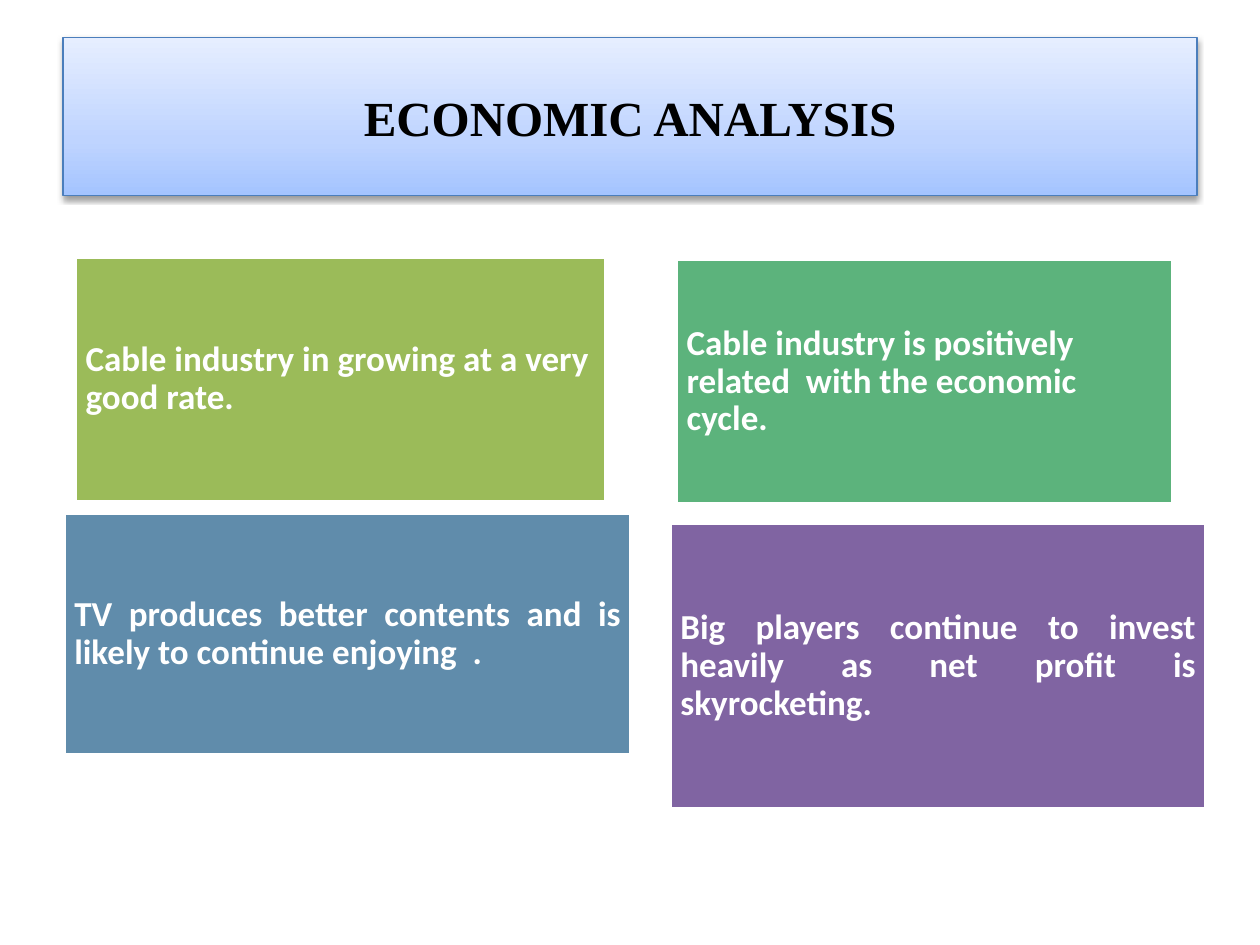
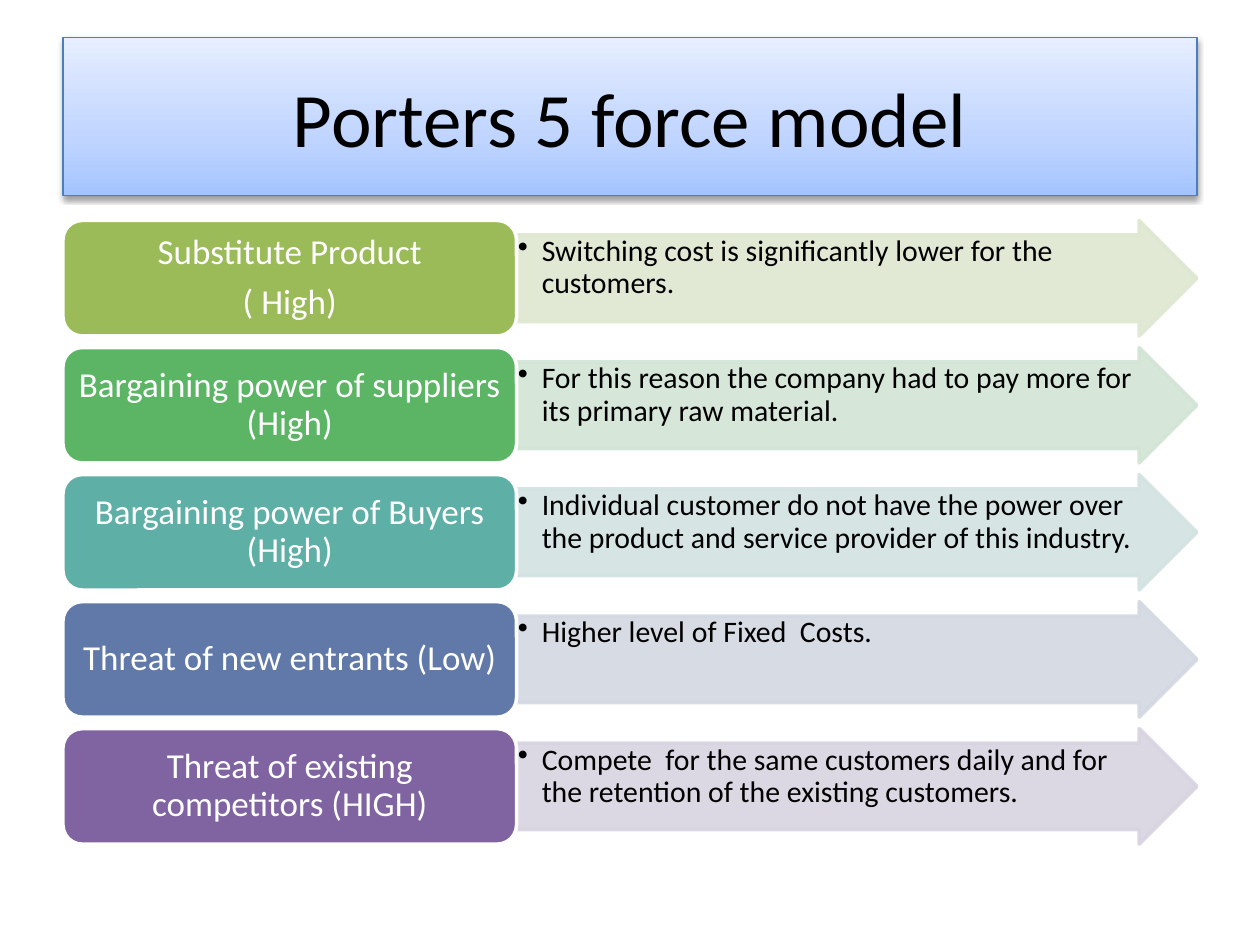
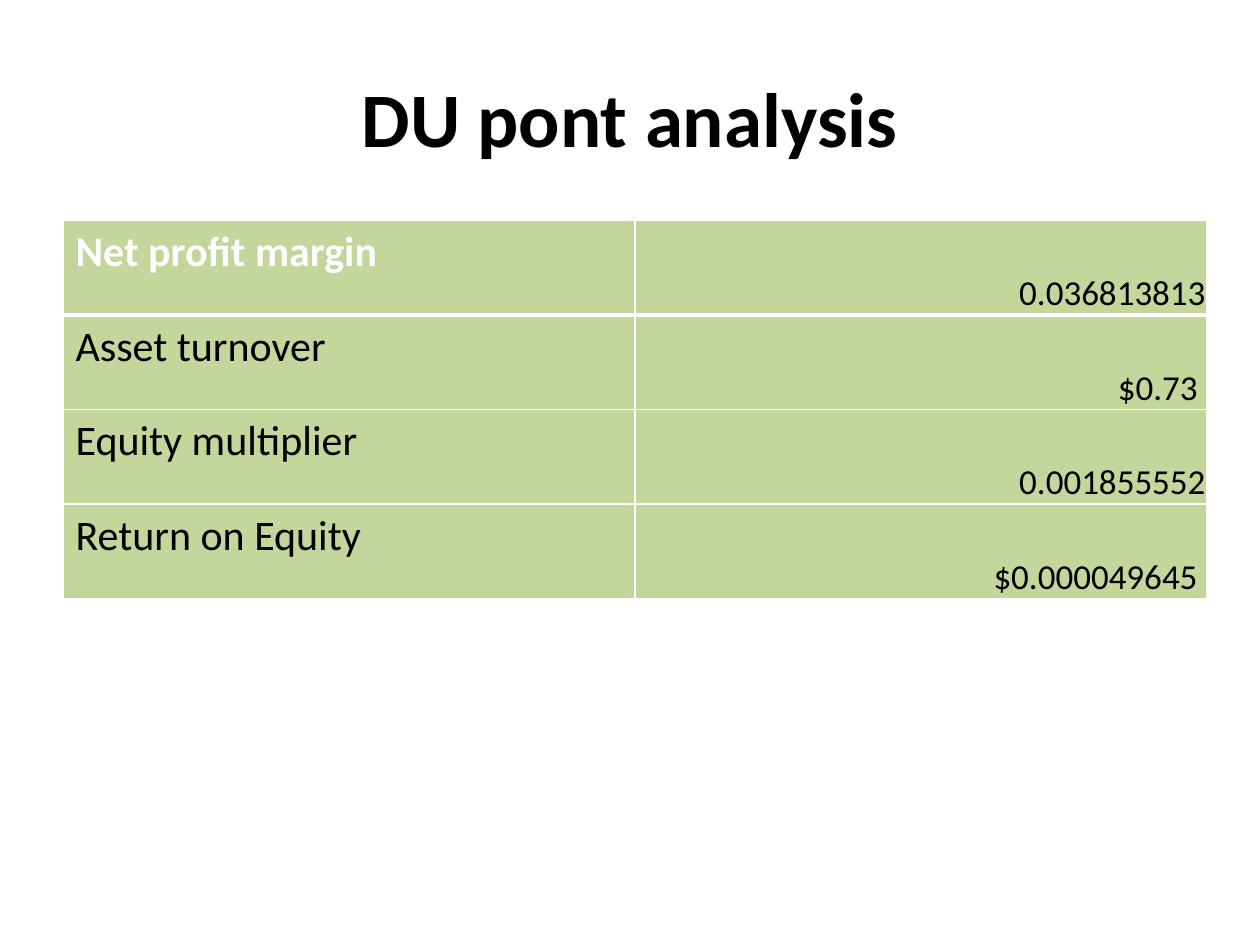
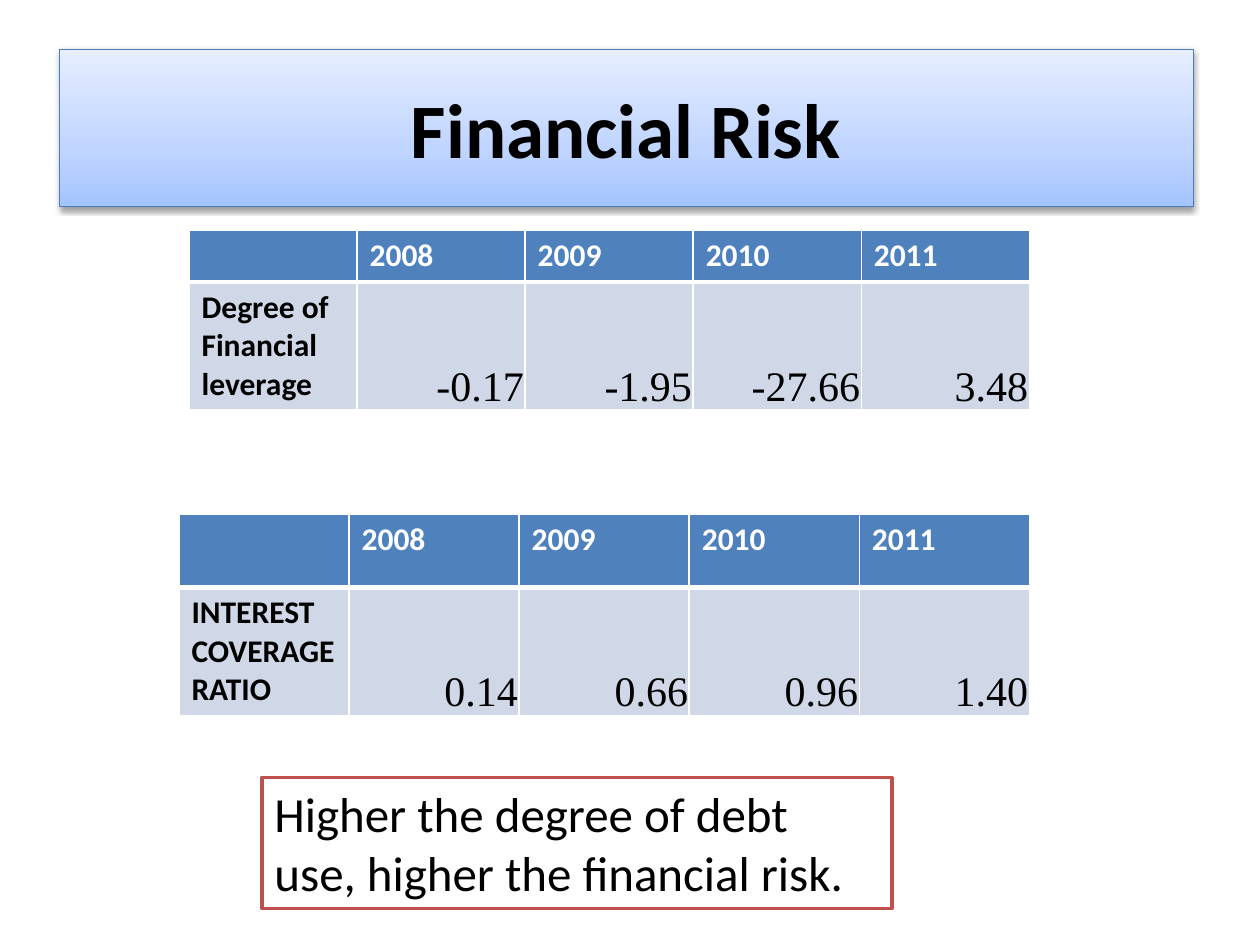
from lxml import etree
from pptx import Presentation
from pptx.dml.color import RGBColor
from pptx.enum.shapes import MSO_SHAPE
from pptx.enum.text import MSO_ANCHOR, PP_ALIGN
from pptx.oxml.ns import qn
from pptx.util import Inches, Pt

RECT, ROUND, ARROW = MSO_SHAPE.RECTANGLE, MSO_SHAPE.ROUNDED_RECTANGLE, MSO_SHAPE.RIGHT_ARROW
TOP, MIDDLE, BOTTOM = MSO_ANCHOR.TOP, MSO_ANCHOR.MIDDLE, MSO_ANCHOR.BOTTOM
LEFT, CENTER, RIGHT, JUSTIFY = PP_ALIGN.LEFT, PP_ALIGN.CENTER, PP_ALIGN.RIGHT, PP_ALIGN.JUSTIFY

BLACK = RGBColor(0, 0, 0)
WHITE = RGBColor(255, 255, 255)
EDGE = RGBColor(0x4B, 0x7E, 0xBC)
BLUE = RGBColor(0x4F, 0x81, 0xBD)
PALE = RGBColor(0xD0, 0xD8, 0xE8)
RED = RGBColor(0xC0, 0x50, 0x4D)
LIME = RGBColor(0x9B, 0xBB, 0x59)
MOSS = RGBColor(0xC3, 0xD6, 0x9B)
MINT = RGBColor(0x5C, 0xB3, 0x7C)
GREEN = RGBColor(0x5C, 0xB5, 0x65)
TEAL = RGBColor(0x5E, 0xAF, 0xA6)
STEEL = RGBColor(0x60, 0x8C, 0xAB)
SLATE = RGBColor(0x61, 0x79, 0xA8)
PLUM = RGBColor(0x80, 0x64, 0xA2)
LIME_TINT = RGBColor(0xDE, 0xE7, 0xD1)
GREEN_TINT = RGBColor(0xD2, 0xE5, 0xD5)
TEAL_TINT = RGBColor(0xD2, 0xE3, 0xE2)
SLATE_TINT = RGBColor(0xD3, 0xD8, 0xE2)
PLUM_TINT = RGBColor(0xD8, 0xD3, 0xE0)
BAND = ((0, RGBColor(0xA4, 0xC4, 0xFF)), (35, RGBColor(0xBF, 0xD4, 0xFF)),
        (100, RGBColor(0xE6, 0xEE, 0xFF)))

SANS, SERIF = "Calibri", "Times New Roman"
UNIT = Inches(0.1)  # the slide is a grid of 100 columns by 75 rows
HEAD = (5, 3, 90, 12.5)
VALUE_PAD = (0.01, 0.01, 0.01, 0)

POINTS = (
    ((6, 20.4, 42.1, 19.4), LIME, LEFT, "Cable industry in growing at a very good rate."),
    ((53.7, 20.6, 39.4, 19.4), MINT, LEFT,
     "Cable industry is positively related  with the economic cycle."),
    ((5.1, 40.7, 45, 19.2), STEEL, JUSTIFY,
     "TV produces better contents and is likely to continue enjoying  ."),
    ((53.2, 41.5, 42.5, 22.7), PLUM, JUSTIFY,
     "Big players continue to invest heavily as net profit is skyrocketing."),
)
FORCES = (
    ("Substitute Product\n( High)", LIME, LIME_TINT,
     "Switching cost is significantly lower for the customers."),
    ("Bargaining power of suppliers (High)", GREEN, GREEN_TINT,
     "For this reason the company had to pay more for its primary raw material."),
    ("Bargaining power of Buyers (High)", TEAL, TEAL_TINT,
     "Individual customer do not have the power over the product and service "
     "provider of this industry."),
    ("Threat of new entrants (Low)", SLATE, SLATE_TINT, "Higher level of Fixed  Costs."),
    ("Threat of existing competitors (HIGH)", PLUM, PLUM_TINT,
     "Compete  for the same customers daily and for the retention of the existing customers."),
)
RATIOS = (("Net profit margin", "0.036813813"), ("Asset turnover", "$0.73 "),
          ("Equity multiplier", "0.001855552"), ("Return on Equity", "$0.000049645 "))
YEARS = ("", "2008", "2009", "2010", "2011")
LEVERAGE = ("Degree of Financial leverage", "-0.17", "-1.95", "-27.66", "3.48")
COVER = ("INTEREST COVERAGE RATIO", "0.14", "0.66", "0.96", "1.40")


def grid(box):
    return [round(n * UNIT) for n in box]


def node(root, tag, **attrs):
    return etree.SubElement(root, qn(tag), {k: str(v) for k, v in attrs.items()})


def write(frame, text, size, color, bold=False, font=SANS, align=LEFT, line=None, after=None):
    frame.text = text
    for para in frame.paragraphs:
        para.alignment = align
        if line:
            para.line_spacing, para.space_after = line, Pt(after)
        for run in para.runs:
            face = run.font
            face.name, face.size, face.bold = font, Pt(size), bold
            face.color.rgb = color


def pad(owner, sides):
    """Set the left, top, right and bottom margins of a cell or text frame."""
    owner.margin_left, owner.margin_top, owner.margin_right, owner.margin_bottom = map(Inches, sides)


def panel(slide, kind, box, fill, edge, sides=(0.1, 0.05, 0.1, 0.05), anchor=MIDDLE):
    shape = slide.shapes.add_shape(kind, *grid(box))
    shape.shadow.inherit = False
    shape.fill.solid()
    shape.fill.fore_color.rgb = fill
    shape.line.color.rgb = edge
    shape.line.width = Pt(2)
    frame = shape.text_frame
    frame.word_wrap, frame.vertical_anchor = True, anchor
    pad(frame, sides)
    return shape


def paint(shape):
    """Give the title its gradient, thin edge and soft shadow."""
    shape.fill.gradient()
    props = shape.element.spPr
    stops = props.find(".//" + qn("a:gsLst"))
    for stop in list(stops):
        stops.remove(stop)
    for place, color in BAND:
        node(node(stops, "a:gs", pos=place * 1000), "a:srgbClr", val=color)
    shape.fill.gradient_angle = 90
    shape.line.color.rgb = EDGE
    shape.line.width = Pt(0.75)
    shade = node(node(props, "a:effectLst"), "a:outerShdw", blurRad=40000, dist=20000,
                 dir=5400000, rotWithShape=0)
    node(node(shade, "a:srgbClr", val=BLACK), "a:alpha", val=38000)


def start(deck, text, size=44, bold=True, font=SANS, box=HEAD, band=True):
    slide = deck.slides.add_slide(deck.slide_layouts[5])
    title = slide.shapes.title
    title.left, title.top, title.width, title.height = grid(box)
    title.text_frame.vertical_anchor = MIDDLE
    write(title.text_frame, text, size, BLACK, bold, font, CENTER)
    if band:
        paint(title)
    return slide


def arrow(slide, box, tint, text):
    shape = panel(slide, ARROW, box, tint, tint, (0.01,) * 4, TOP)
    shape.adjustments[0], shape.adjustments[1] = 0.75, 0.5
    for color in shape.element.spPr.iter(qn("a:srgbClr")):
        node(color, "a:alpha", val=90000)
    write(shape.text_frame, text, 17, BLACK, line=0.9, after=2.5)
    props = shape.text_frame.paragraphs[0]._p.get_or_add_pPr()
    props.set("marL", str(Inches(0.19)))
    props.set("indent", str(-Inches(0.19)))
    node(props, "a:buChar", char="•")


def forces(slide, box):
    left, top, width, height = box
    tall = height / (len(FORCES) + 0.1 * (len(FORCES) - 1))
    wide = 0.4 * width
    for i, (name, color, tint, text) in enumerate(FORCES):
        y = top + 1.1 * tall * i
        arrow(slide, (left + wide, y, width - wide, tall), tint, text)
        label = panel(slide, ROUND, (left, y, wide, tall), color, WHITE, (0.08, 0.04, 0.08, 0.04))
        write(label.text_frame, name, 20, WHITE, align=CENTER, line=0.9, after=7)


def rule(cell, bottom):
    props = cell._tc.get_or_add_tcPr()
    for side, width in zip("LRTB", (1, 1, 1, bottom)):
        edge = node(props, "a:ln" + side, w=Pt(width))
        node(node(edge, "a:solidFill"), "a:srgbClr", val=WHITE)


def table(slide, box, rows, shares, fills, style):
    """Draw rows of text; style(row, col) gives the text format of a cell and if it holds a value."""
    left, top, width, height = grid(box)
    sheet = slide.shapes.add_table(len(rows), len(rows[0]), left, top, width, height).table
    for col in sheet.columns:
        col.width = round(width / len(rows[0]))
    for r, (texts, share) in enumerate(zip(rows, shares)):
        sheet.rows[r].height = round(height * share)
        for c, text in enumerate(texts):
            cell = sheet.cell(r, c)
            rule(cell, 1 if r else 3)
            cell.fill.solid()
            cell.fill.fore_color.rgb = fills[r]
            look, value = style(r, c)
            write(cell.text_frame, text, **look)
            if value:
                cell.vertical_anchor = BOTTOM
                pad(cell, VALUE_PAD)


def ratio_style(row, col):
    if col:
        return dict(size=20, color=BLACK, align=RIGHT), True
    return dict(size=24, color=BLACK if row else WHITE, bold=not row), False


def year_style(row, col):
    if row and col:
        return dict(size=24, color=BLACK, font=SERIF, align=RIGHT), True
    return dict(size=18, color=BLACK if row else WHITE, bold=True), False


def years(slide, box, values, head):
    """Place a table of years whose heading row takes the given share of the height."""
    table(slide, box, (YEARS, values), (head, 1 - head), (BLUE, PALE), year_style)


def economy(deck):
    slide = start(deck, "ECONOMIC ANALYSIS", 28, font=SERIF)
    for box, color, align, text in POINTS:
        card = panel(slide, RECT, box, color, WHITE, (0.08,) * 4)
        write(card.text_frame, text, 20, WHITE, True, align=align, line=0.9, after=7)


def porter(deck):
    forces(start(deck, "Porters 5 force model", bold=False), (5, 17.5, 90, 49.5))


def dupont(deck):
    slide = start(deck, "DU pont analysis", band=False)
    count = len(RATIOS)
    table(slide, (5, 17.5, 90.8, 30), RATIOS, [1 / count] * count, [MOSS] * count, ratio_style)


def risk(deck):
    slide = start(deck, "Financial Risk", box=(4.7, 3.9, 90, 12.5))
    note = panel(slide, RECT, (20.8, 61.7, 50, 10.4), WHITE, RED, anchor=TOP)
    write(note.text_frame, "Higher the degree of debt use, higher the financial risk.", 28, BLACK)
    years(slide, (15, 18.3, 66.7, 14.1), LEVERAGE, 0.29)
    years(slide, (14.2, 40.8, 67.5, 15.8), COVER, 0.37)


def main():
    deck = Presentation()
    deck.slide_width, deck.slide_height = 100 * UNIT, 75 * UNIT
    for build in (economy, porter, dupont, risk):
        build(deck)
    deck.save("out.pptx")


if __name__ == "__main__":
    main()
